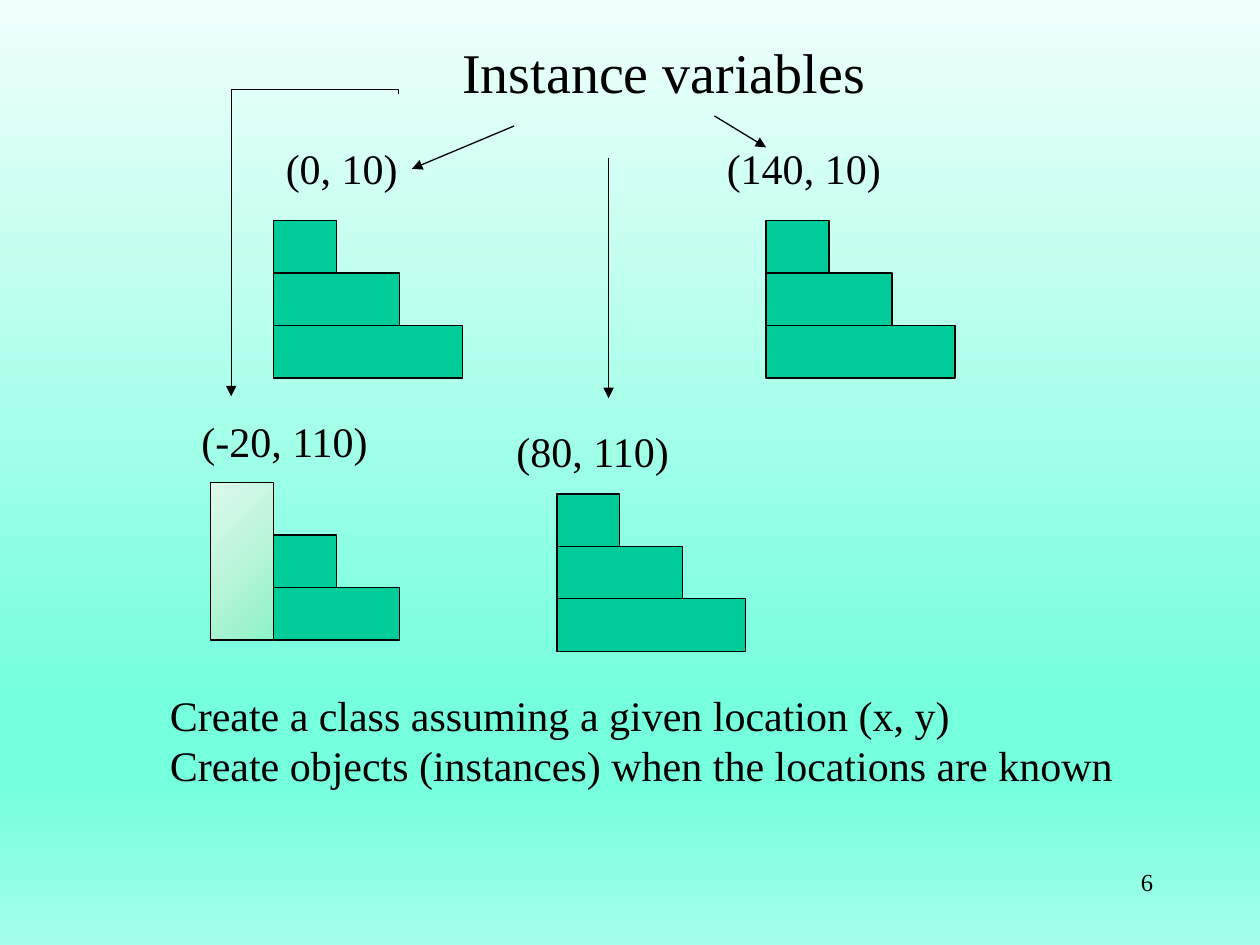
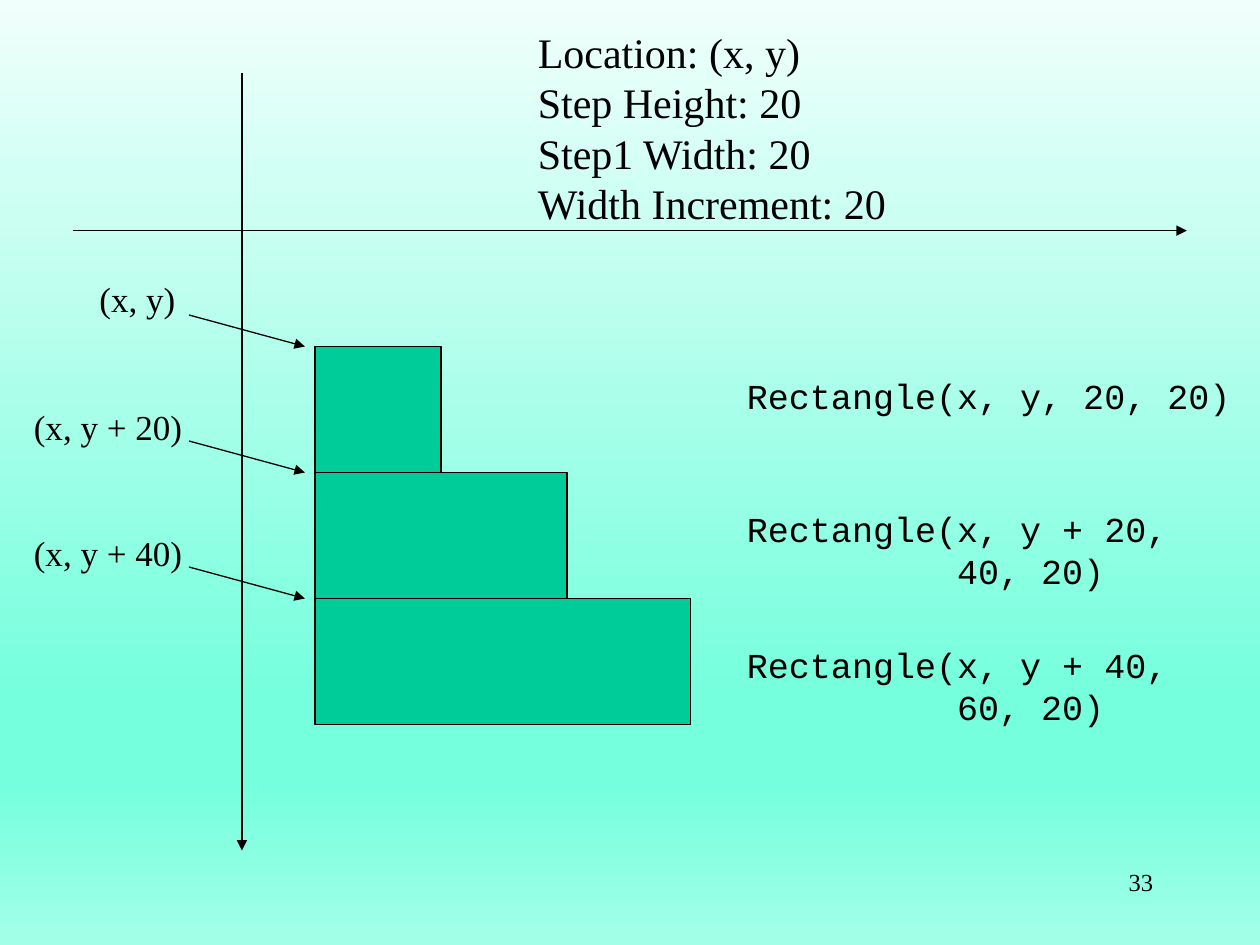
from dataclasses import dataclass

from lxml import etree
from pptx import Presentation
from pptx.dml.color import RGBColor
from pptx.enum.shapes import MSO_CONNECTOR, MSO_SHAPE
from pptx.enum.text import MSO_AUTO_SIZE, PP_ALIGN
from pptx.oxml.ns import qn
from pptx.util import Inches, Pt

RECT = MSO_SHAPE.RECTANGLE
LINE, ELBOW = MSO_CONNECTOR.STRAIGHT, MSO_CONNECTOR.ELBOW
LEFT, RIGHT = PP_ALIGN.LEFT, PP_ALIGN.RIGHT
GROW = MSO_AUTO_SIZE.SHAPE_TO_FIT_TEXT

BLACK = RGBColor(0x00, 0x00, 0x00)
GREEN = RGBColor(0x00, 0xCC, 0x99)
PALE = RGBColor(0xF0, 0xFF, 0xFB)
AQUA = RGBColor(0x75, 0xFF, 0xDD)
MINT = RGBColor(0xA3, 0xFF, 0xE8)
LEAF = RGBColor(0x8C, 0xF2, 0xC6)
SAGE = RGBColor(0xBA, 0xF5, 0xDA)
FROST = RGBColor(0xDE, 0xF9, 0xEC)

BACK = ((0, PALE), (74, AQUA), (83, AQUA), (100, MINT))
GLOW = ((0, LEAF), (50, SAGE), (100, FROST))
SERIF, MONO = "Times New Roman", "Courier New"
THIN = Pt(0.75)


@dataclass
class Label:
    text: str
    left: float
    top: float
    width: float
    height: float
    size: int = 24
    face: str = SERIF


@dataclass
class Stair:
    left: float
    top: float
    widths: tuple = (0.5, 1, 1.5)
    rise: float = 1.25 / 3


@dataclass
class Arrow:
    x1: float
    y1: float
    x2: float
    y2: float


def add_stops(node, stops) -> None:
    """Replace the content of a gradient with the given stops."""
    for child in list(node):
        node.remove(child)
    group = etree.SubElement(node, qn("a:gsLst"))
    for place, color in stops:
        stop = etree.SubElement(group, qn("a:gs"), pos=str(place * 1000))
        etree.SubElement(stop, qn("a:srgbClr"), val=str(color))


def set_back(master) -> None:
    master.background.fill.gradient()
    node = master._element.find(".//" + qn("a:gradFill"))
    add_stops(node, BACK)
    etree.SubElement(node, qn("a:lin"), ang="5400000", scaled="0")


def add_text(slide, label: Label, align=LEFT, grow: bool = True) -> None:
    box = slide.shapes.add_textbox(*map(
        Inches, (label.left, label.top, label.width, label.height)))
    frame = box.text_frame
    frame.word_wrap = not grow
    if grow:
        frame.auto_size = GROW
    style = {"size": Pt(label.size), "name": label.face}
    for i, line in enumerate(label.text.split("\n")):
        para = frame.add_paragraph() if i else frame.paragraphs[0]
        para.alignment = align
        run = para.add_run()
        run.text = line
        for key, value in style.items():
            setattr(run.font, key, value)
        run.font.color.rgb = BLACK


def add_rect(slide, left: float, top: float, width: float, height: float):
    rect = slide.shapes.add_shape(
        RECT, *map(Inches, (left, top, width, height)))
    rect.shadow.inherit = False
    rect.fill.solid()
    rect.fill.fore_color.rgb = GREEN
    rect.line.color.rgb = BLACK
    rect.line.width = THIN
    return rect


def add_stair(slide, stair: Stair) -> None:
    for i, width in enumerate(stair.widths):
        add_rect(slide, stair.left, stair.top + i * stair.rise,
                 width, stair.rise)


def add_arrow(slide, arrow: Arrow, kind=LINE):
    link = slide.shapes.add_connector(
        kind, *map(Inches, (arrow.x1, arrow.y1, arrow.x2, arrow.y2)))
    link.line.color.rgb = BLACK
    link.line.width = THIN
    etree.SubElement(link.line._get_or_add_ln(), qn("a:tailEnd"),
                     type="triangle")
    etree.SubElement(link._element.spPr, qn("a:effectLst"))
    return link


def add_bent(slide, arrow: Arrow, bend: int) -> None:
    """Draw an elbow arrow turned a quarter clockwise."""
    props = add_arrow(slide, arrow, ELBOW)._element.spPr
    props.find(qn("a:xfrm")).set("rot", "5400000")
    shape = props.find(qn("a:prstGeom"))
    for child in list(shape):
        shape.remove(child)
    guides = etree.SubElement(shape, qn("a:avLst"))
    etree.SubElement(guides, qn("a:gd"), name="adj1", fmla=f"val {bend}")


def add_glow(slide) -> None:
    """Cover the part of a stair that lies left of the window."""
    rect = add_rect(slide, 1.67, 3.83, 0.5, 1.25)
    rect.fill.gradient()
    node = rect._element.spPr.find(qn("a:gradFill"))
    add_stops(node, GLOW)
    course = etree.SubElement(node, qn("a:path"), path="circle")
    etree.SubElement(course, qn("a:fillToRect"), l="100000", t="100000")


def new_slide(prs, number: int):
    slide = prs.slides.add_slide(prs.slide_layouts[6])
    add_text(slide, Label(str(number), 7.17, 6.83, 2.08, 0.5, 14),
             RIGHT, False)
    return slide


def draw_objects(prs) -> None:
    slide = new_slide(prs, 6)
    # Four stairs
    for left, top in ((2.17, 1.75), (6.08, 1.75), (4.42, 3.92), (1.67, 3.83)):
        add_stair(slide, Stair(left, top))
    # Title, locations and summary
    for label in (
        Label("(0, 10)", 2.17, 1.08, 1.1, 0.5),
        Label("(140, 10)", 5.67, 1.08, 1.44, 0.5),
        Label("(80, 110)", 4, 3.33, 1.42, 0.5),
        Label("(-20, 110)", 1.5, 3.25, 1.54, 0.5),
        Label("Create a class assuming a given location (x, y)\n"
              "Create objects (instances) when the locations are known",
              1.25, 5.42, 7.76, 0.91),
        Label("Instance variables", 3.57, 0.25, 3.55, 0.64, 32),
    ):
        add_text(slide, label)
    # Arrows from the title to the locations
    for arrow in (Arrow(4.08, 1, 3.27, 1.34), Arrow(5.67, 0.92, 6.08, 1.17),
                  Arrow(4.83, 1.25, 4.83, 3.16)):
        add_arrow(slide, arrow)
    add_bent(slide, Arrow(1.3, 1.28, 3.7, 2.61), -1500)
    add_glow(slide)


def draw_steps(prs) -> None:
    slide = new_slide(prs, 33)
    # Axes
    add_arrow(slide, Arrow(0.58, 1.83, 9.42, 1.83))
    add_arrow(slide, Arrow(1.92, 0.58, 1.92, 6.75))
    # Stair with an arrow to each corner
    add_stair(slide, Stair(2.5, 2.75, (1, 2, 2.98), 1))
    for i in range(3):
        add_arrow(slide, Arrow(1.5, 2.5 + i, 2.42, 2.75 + i))
    # Sizes, corners and code
    for label in (
        Label("Location: (x, y)\nStep Height: 20\nStep1 Width: 20\n"
              "Width Increment: 20", 4.17, 0.16, 2.99, 2.12),
        Label("(x, y)", 0.69, 2.15, 0.81, 0.44, 20),
        Label("(x, y + 20)", 0.17, 3.17, 1.39, 0.44, 20),
        Label("(x, y + 40)", 0.17, 4.17, 1.39, 0.44, 20),
        Label("Rectangle(x, y, 20, 20)", 5.83, 2.92, 4.07, 0.44, 20, MONO),
        Label("Rectangle(x, y + 20,\n          40, 20)",
              5.83, 3.98, 3.57, 0.77, 20, MONO),
        Label("Rectangle(x, y + 40,\n          60, 20)",
              5.83, 5.06, 3.57, 0.77, 20, MONO),
    ):
        add_text(slide, label)


def main() -> None:
    prs = Presentation()
    prs.slide_width, prs.slide_height = Inches(10), Inches(7.5)
    set_back(prs.slide_master)
    draw_objects(prs)
    draw_steps(prs)
    prs.save("out.pptx")


if __name__ == "__main__":
    main()
